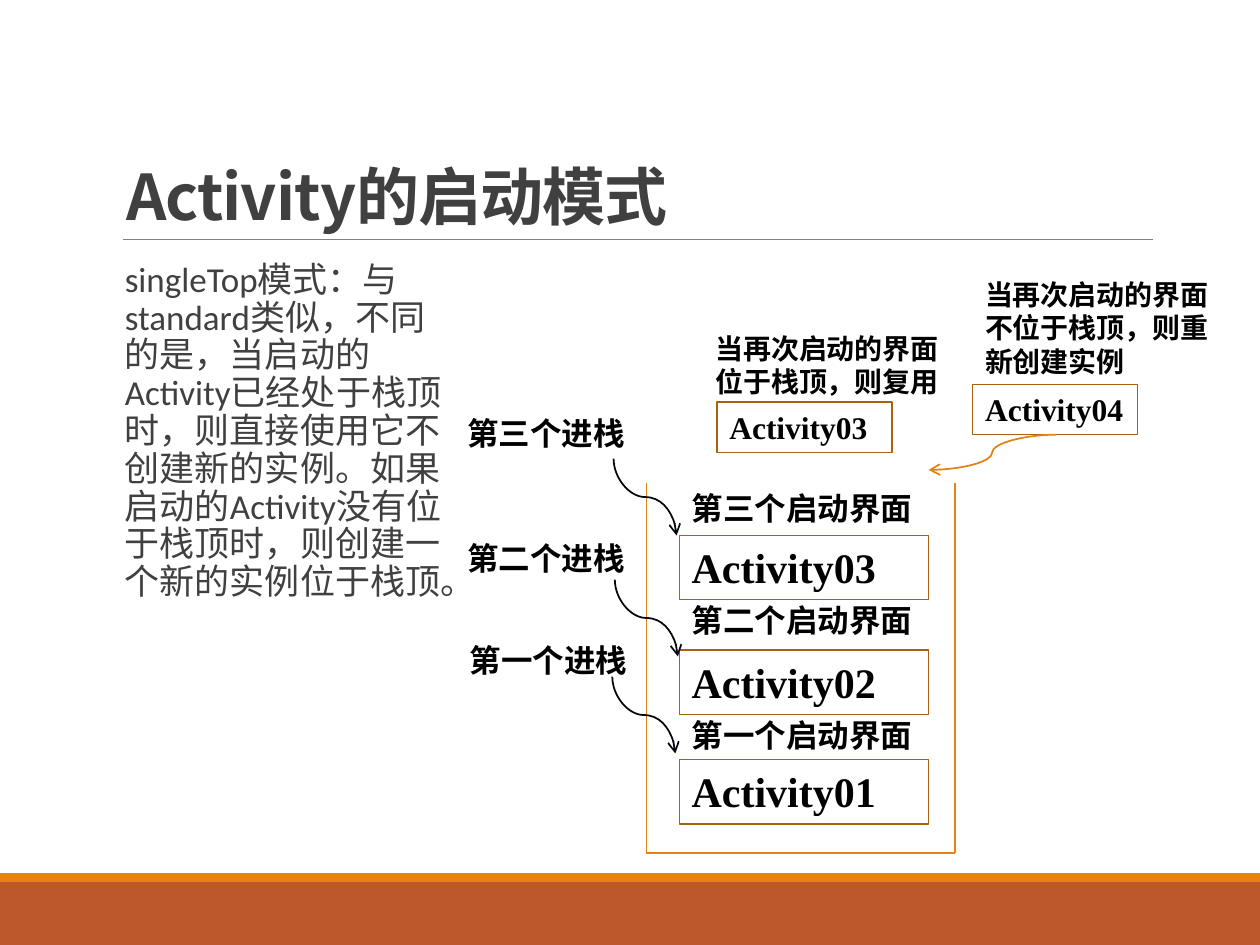
from lxml import etree
from pptx import Presentation
from pptx.dml.color import RGBColor
from pptx.enum import shapes, text
from pptx.oxml import ns
from pptx.util import Inches, Pt

COLORS = {"band": "BD582C", "accent": "E48312", "rule": "808080", "box": "A9610D",
          "title": "404040", "ink": "000000", "arrow": "03070D"}
CJK = "Noto Sans CJK SC"
SERIF = "Times New Roman"

TITLE = "Activity的启动模式"
BODY = ("singleTop模式：与standard类似，不同的是，当启动的Activity已经处于栈顶时，"
        "则直接使用它不创建新的实例。如果启动的Activity没有位于栈顶时，"
        "则创建一个新的实例位于栈顶。")

# Stack entries: name, box top, caption, caption top
ENTRIES = [("Activity03", 4.25, "第三个启动界面", 3.83),
           ("Activity02", 5.16, "第二个启动界面", 4.72),
           ("Activity01", 6.03, "第一个启动界面", 5.63)]
# Push steps: label, label position, arrow start
PUSHES = [("第三个进栈", (3.61, 3.24), (4.87, 3.64)),
          ("第二个进栈", (3.61, 4.23), (4.88, 4.6)),
          ("第一个进栈", (3.63, 5.04), (4.86, 5.37))]
# Relaunch cases: name, box, note, note box
RELAUNCHES = [("Activity04", (7.72, 3.05, 1.31, 0.4),
               "当再次启动的界面不位于栈顶，则重新创建实例", (7.72, 2.15, 2, 0.91)),
              ("Activity03", (5.69, 3.19, 1.39, 0.4),
               "当再次启动的界面位于栈顶，则复用", (5.58, 2.58, 2, 0.64))]
STACK_LEFT, STACK_TOP, STACK_RIGHT, STACK_BOTTOM = 5.13, 3.83, 7.58, 6.77
ENTRY_LEFT = 5.39

deck = Presentation()
deck.slide_width, deck.slide_height = Inches(10), Inches(7.5)
page = deck.slides.add_slide(deck.slide_layouts[1])


def color(name):
    return RGBColor.from_string(COLORS[name])


def write(shape, words, size, font=SERIF, ink="ink", bold=True, spacing=1.0,
          anchor=text.MSO_ANCHOR.TOP):
    frame = shape.text_frame
    frame.word_wrap = True
    frame.auto_size = text.MSO_AUTO_SIZE.NONE
    frame.vertical_anchor = anchor
    para = frame.paragraphs[0]
    para.alignment = text.PP_ALIGN.LEFT
    para.line_spacing = spacing
    para.space_before = Pt(0)
    span = para.add_run()
    span.text = words
    span.font.size, span.font.bold, span.font.name = Pt(size), bold, font
    span.font.color.rgb = color(ink)
    etree.SubElement(span.font._element, ns.qn("a:ea"), typeface=CJK)
    return span


def place(shape, box):
    shape.left, shape.top, shape.width, shape.height = map(Inches, box)


def add_label(words, box, size):
    write(page.shapes.add_textbox(*map(Inches, box)), words, size)


def add_rectangle(box, fill=None, outline=None):
    shape = page.shapes.add_shape(shapes.MSO_SHAPE.RECTANGLE, *map(Inches, box))
    shape.shadow.inherit = False
    if fill:
        shape.fill.solid()
        shape.fill.fore_color.rgb = color(fill)
    else:
        shape.fill.background()
    if outline:
        shape.line.color.rgb = color(outline)
        shape.line.width = Pt(0.75)
    else:
        shape.line.fill.background()
    return shape


def add_line(start, end, ink="accent", width=1, curved=False):
    kind = shapes.MSO_CONNECTOR.CURVE if curved else shapes.MSO_CONNECTOR.STRAIGHT
    line = page.shapes.add_connector(kind, *map(Inches, (*start, *end)))
    line.line.color.rgb = color(ink)
    line.line.width = Pt(width)
    if curved:
        etree.SubElement(line.line._get_or_add_ln(), ns.qn("a:tailEnd"), type="arrow")
    etree.SubElement(line._element.spPr, ns.qn("a:effectLst"))
    return line


def add_falling_arrow(start, across=0.5, down=0.61):
    """Curve that leaves and arrives vertically: a flat curve turned by 270 degrees."""
    x, y = start[0] + across / 2, start[1] + down / 2
    line = add_line((x - down / 2, y - across / 2), (x + down / 2, y + across / 2),
                    "arrow", curved=True)
    frame = line._element.spPr.find(ns.qn("a:xfrm"))
    frame.set("rot", str(270 * 60000))
    frame.set("flipH", "1")


# Footer bands and title rule
add_rectangle((0, 7, 10, 0.5), fill="band")
add_rectangle((0, 6.93, 10, 0.07), fill="accent")
add_line((0.98, 1.9), (9.15, 1.9), "rule", 0.5)

# Title
title = page.shapes.title
place(title, (0.9, 0.31, 8.25, 1.59))
heading = write(title, TITLE, 36, font=CJK, ink="title", spacing=0.85,
                anchor=text.MSO_ANCHOR.BOTTOM)
heading.font._element.set("spc", "-50")

# Explanation
body = page.placeholders[1]
place(body, (0.89, 2.03, 2.69, 4.4))
body.text_frame.margin_left = body.text_frame.margin_right = 0
write(body, BODY, 20, font="Calibri", ink="title", bold=False, spacing=0.9)
para = body.text_frame.paragraphs[0]
para.space_after = Pt(2)
props = para._p.get_or_add_pPr()
props.set("marL", str(Inches(0.1)))
props.set("indent", str(Inches(-0.1)))
etree.SubElement(props, ns.qn("a:buChar"), char=" ")

# Stack entries
for name, top, caption, caption_top in ENTRIES:
    write(add_rectangle((ENTRY_LEFT, top, 1.98, 0.51), outline="box"), name, 24)
    add_label(caption, (ENTRY_LEFT, caption_top, 2.19, 0.4), 18)

# Open-topped stack outline
corners = [(STACK_LEFT, STACK_TOP), (STACK_LEFT, STACK_BOTTOM),
           (STACK_RIGHT, STACK_BOTTOM), (STACK_RIGHT, STACK_TOP)]
for start, end in zip(corners, corners[1:]):
    add_line(start, end)

# Push steps
for label, position, start in PUSHES:
    add_label(label, (*position, 1.49, 0.4), 18)
    add_falling_arrow(start)

# Relaunch cases
for name, box, note, note_box in RELAUNCHES:
    write(add_rectangle(box, outline="box"), name, 18)
    add_label(note, note_box, 16)
add_line((8.38, 3.45), (7.37, 3.73), curved=True)

deck.save("out.pptx")
